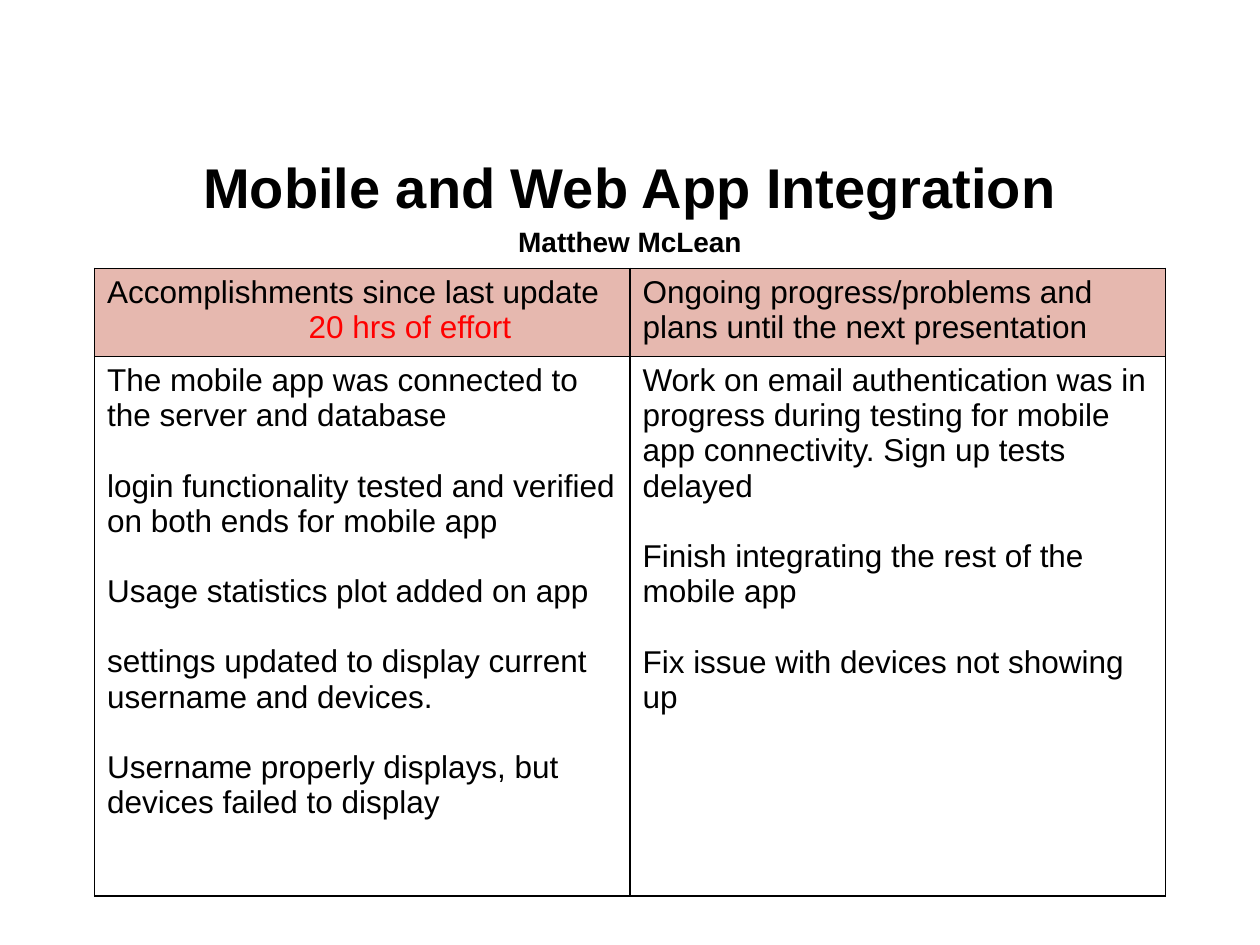
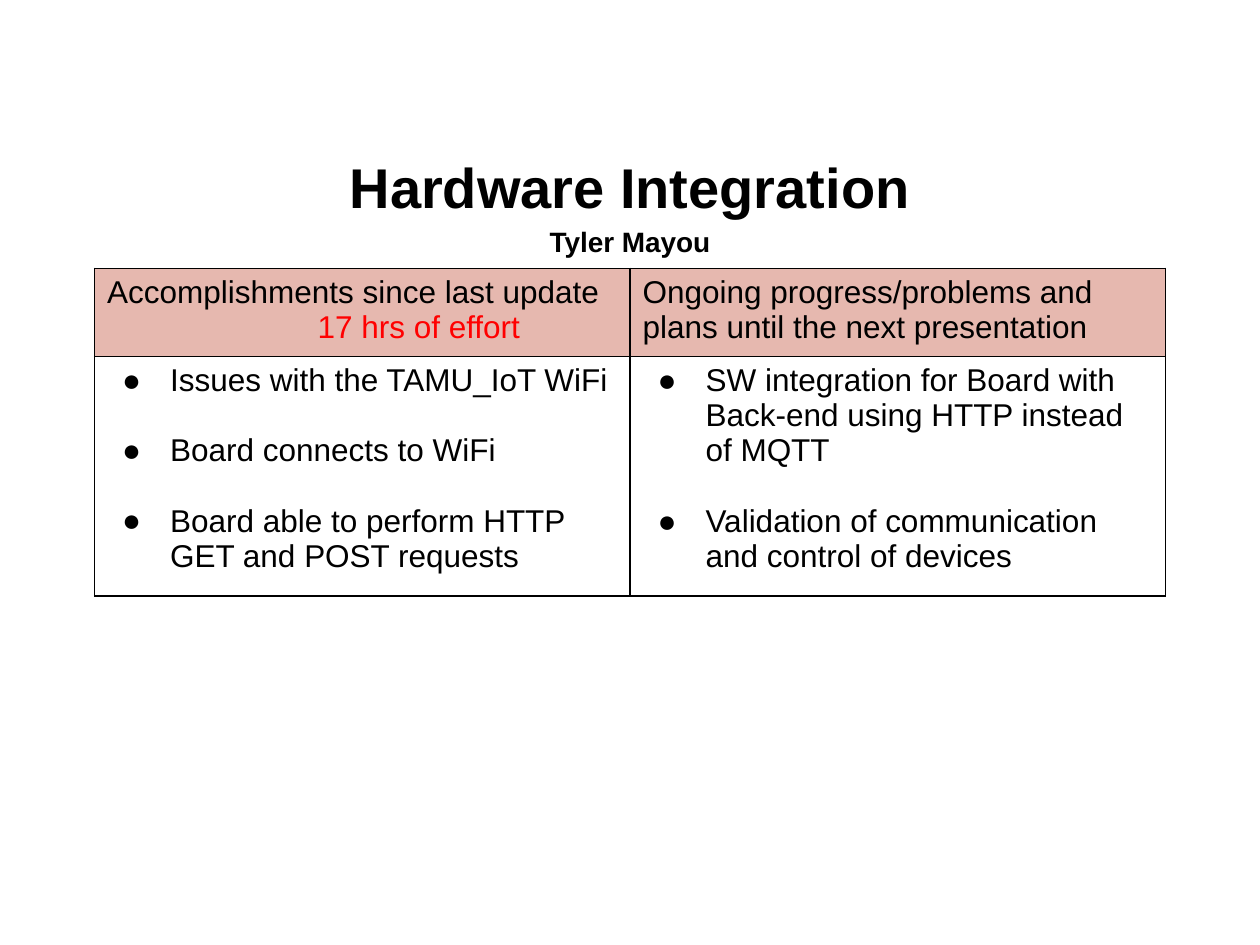
from lxml.etree import SubElement
from pptx import Presentation
from pptx.dml.color import RGBColor
from pptx.enum.text import MSO_ANCHOR, MSO_AUTO_SIZE, PP_ALIGN
from pptx.oxml.ns import qn
from pptx.util import Emu, Pt

PX = 9144
BLACK = RGBColor(0x00, 0x00, 0x00)
RED = RGBColor(0xFF, 0x00, 0x00)
PINK = RGBColor(0xE6, 0xB8, 0xAF)
TITLE_BOX = {"left": 50, "top": 115, "width": 900, "height": 88}
BODY = {"name": "Arial", "size": Pt(18), "bold": False}
TITLE = {"name": "Arial", "size": Pt(32), "bold": True}
NAME = {**TITLE, "size": Pt(16)}
HEAD_H = 70
DONE = "Accomplishments since last update"
NEXT = "Ongoing progress/problems and plans until the next presentation"

SLIDES = [
    {
        "title": "Mobile and Web App Integration",
        "name": "Matthew McLean",
        "effort": "20 hrs of effort",
        "effort_indent": 160,
        "body_h": 428,
        "bullets": False,
        "columns": [
            [
                "The mobile app was connected to the server and database",
                "login functionality tested and verified on both ends for mobile app",
                "Usage statistics plot added on app",
                "settings updated to display current username and devices.",
                "Username properly displays, but devices failed to display",
            ],
            [
                "Work on email authentication was in progress during testing "
                "for mobile app connectivity. Sign up tests delayed",
                "Finish integrating the rest of the mobile app",
                "Fix issue with devices not showing up",
            ],
        ],
    },
    {
        "title": "Hardware Integration",
        "name": "Tyler Mayou",
        "effort": "17 hrs of effort",
        "effort_indent": 167,
        "body_h": 190,
        "bullets": True,
        "columns": [
            [
                "Issues with the TAMU_IoT WiFi",
                "Board connects to WiFi",
                "Board able to perform HTTP GET and POST requests",
            ],
            [
                "SW integration for Board with Back-end using HTTP instead of MQTT",
                "Validation of communication and control of devices",
            ],
        ],
    },
]


def add_text(tf, i, text, fmt, color=BLACK, indent=0, bullet=False):
    p = tf.paragraphs[0] if i == 0 else tf.add_paragraph()
    pPr = p._p.get_or_add_pPr()
    pPr.set("marL", str(indent * PX))
    pPr.set("indent", str(-38 * PX if bullet else 0))
    if bullet:
        clr = SubElement(pPr, qn("a:buClr"))
        SubElement(clr, qn("a:srgbClr"), val=str(BLACK))
        SubElement(pPr, qn("a:buFont"), typeface="Arial")
        SubElement(pPr, qn("a:buChar"), char="●")
    r = p.add_run()
    r.text = text
    for key, value in fmt.items():
        setattr(r.font, key, value)
    r.font.color.rgb = color
    return p


def add_borders(cell):
    tcPr = cell._tc.get_or_add_tcPr()
    for side in ("lnL", "lnR", "lnT", "lnB"):
        ln = SubElement(tcPr, qn(f"a:{side}"), w=str(Pt(1)))
        fill = SubElement(ln, qn("a:solidFill"))
        SubElement(fill, qn("a:srgbClr"), val=str(BLACK))


prs = Presentation()
prs.slide_width = Emu(1000 * PX)
prs.slide_height = Emu(750 * PX)

for data in SLIDES:
    s = prs.slides.add_slide(prs.slide_layouts[5])
    title = s.shapes.title
    for key, value in TITLE_BOX.items():
        setattr(title, key, Emu(value * PX))
    tf = title.text_frame
    tf.auto_size = MSO_AUTO_SIZE.NONE
    tf.vertical_anchor = MSO_ANCHOR.MIDDLE
    for i, (text, fmt) in enumerate([(data["title"], TITLE), (data["name"], NAME)]):
        p = add_text(tf, i, text, fmt)
        p.alignment = PP_ALIGN.CENTER
        p.line_spacing = 1.15

    box = (75, 213, 850, HEAD_H + data["body_h"])
    table = s.shapes.add_table(2, 2, *(Emu(v * PX) for v in box)).table
    table.first_row = False
    table.horz_banding = False
    for row, height in zip(table.rows, (HEAD_H, data["body_h"])):
        row.height = Emu(height * PX)
    for cell in table.iter_cells():
        add_borders(cell)

    for col, (heading, items) in enumerate(zip((DONE, NEXT), data["columns"])):
        head, body = table.cell(0, col), table.cell(1, col)
        head.fill.solid()
        head.fill.fore_color.rgb = PINK
        body.fill.background()
        add_text(head.text_frame, 0, heading, BODY)
        for i, item in enumerate(items):
            indent = 50 if data["bullets"] else 0
            p = add_text(body.text_frame, i, item, BODY, indent=indent, bullet=data["bullets"])
            if i:
                p.space_before = Pt(20)
    add_text(table.cell(0, 0).text_frame, 1, data["effort"], BODY, RED, data["effort_indent"])

prs.save("out.pptx")
